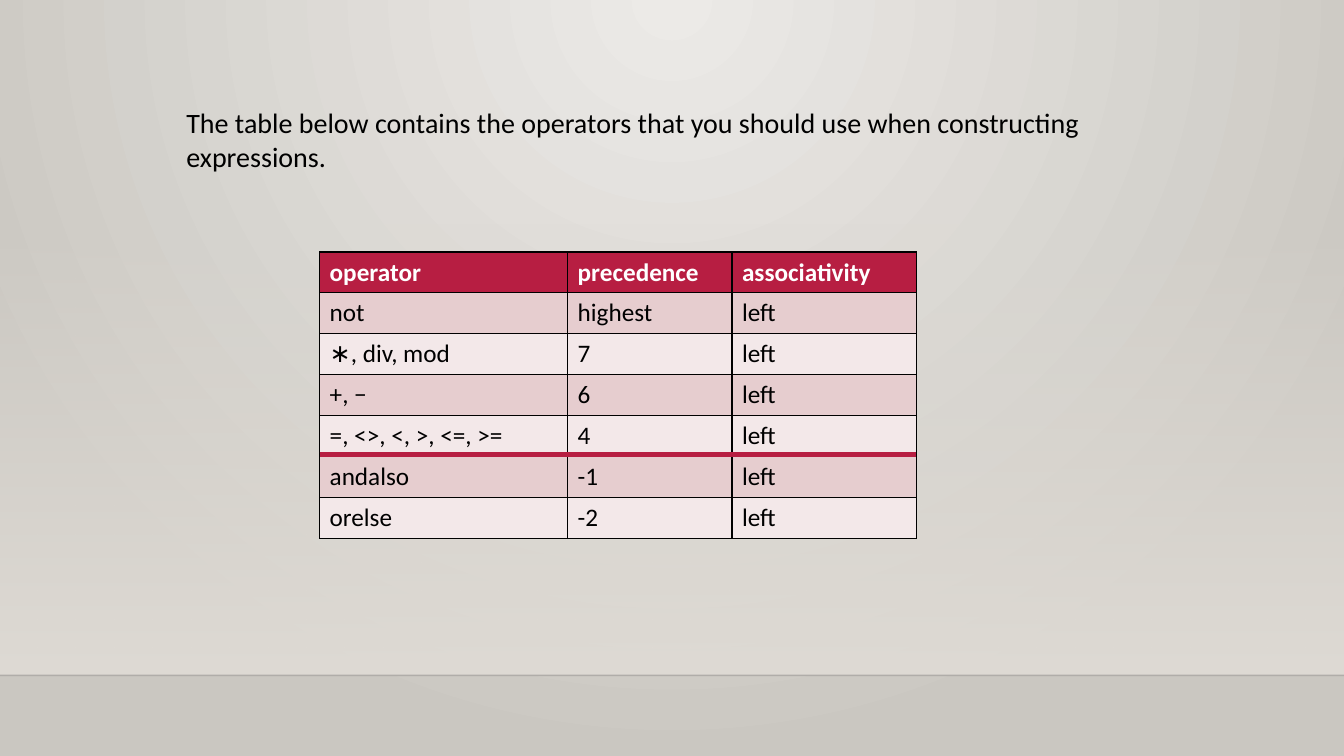
import pptx
import pptx.util
import pptx.dml.color
import pptx.enum.shapes
import pptx.enum.text
import pptx.oxml.ns
import lxml.etree

Inches = pptx.util.Inches
Pt = pptx.util.Pt
qn = pptx.oxml.ns.qn
SubElement = lxml.etree.SubElement


def color(value):
    return pptx.dml.color.RGBColor.from_string(value)


def add_rule(left, right, top, value, width):
    rule = page.shapes.add_connector(
        pptx.enum.shapes.MSO_CONNECTOR.STRAIGHT, Inches(left), Inches(top), Inches(right), Inches(top))
    rule.line.color.rgb = color(value)
    rule.line.width = Pt(width)
    SubElement(rule._element.spPr, qn("a:effectLst"))
    return rule


deck = pptx.Presentation()
slide_width, slide_height = 13.33, 7.5
deck.slide_width = Inches(slide_width)
deck.slide_height = Inches(slide_height)
page = deck.slides.add_slide(deck.slide_layouts[6])

backdrop = page.background.fill
backdrop.gradient()
for stop, value in zip(backdrop.gradient_stops, ("ECEAE7", "CAC7C1")):
    stop.color.rgb = color(value)
gradient = page._element.find(".//" + qn("a:gradFill"))
gradient.remove(gradient.find(qn("a:lin")))
circle = SubElement(gradient, qn("a:path"), {"path": "circle"})
SubElement(circle, qn("a:fillToRect"), {"l": "43000", "t": "0", "r": "43000", "b": "100000"})

floor_top = 6.7
wall_top = 2.21
wall = page.shapes.add_shape(
    pptx.enum.shapes.MSO_SHAPE.RECTANGLE,
    0, Inches(wall_top), deck.slide_width, Inches(floor_top - wall_top))
wall.shadow.inherit = False
wall.line.fill.background()
wall.fill.gradient()
wall.fill.gradient_angle = 270
for stop in wall.fill.gradient_stops:
    stop.color.rgb = color("DFDBD5")
first_stop = wall._element.find(".//" + qn("a:srgbClr"))
SubElement(first_stop, qn("a:alpha"), {"val": "0"})

floor_edge = add_rule(0, slide_width, floor_top, "000001", 1)
edge_color = floor_edge._element.find(".//" + qn("a:srgbClr"))
SubElement(edge_color, qn("a:alpha"), {"val": "20000"})

operators = [
    ("operator", "precedence", "associativity"),
    ("not", "highest", "left"),
    ("∗, div, mod", "7", "left"),
    ("+, −", "6", "left"),
    ("=, <>, <, >, <=, >=", "4", "left"),
    ("andalso", "-1", "left"),
    ("orelse", "-2", "left"),
]
column_widths = (2.46, 1.63, 1.83)
table_left, table_top, table_height = 3.17, 2.5, 2.84
table_right = table_left + sum(column_widths)
table = page.shapes.add_table(
    len(operators), len(column_widths), Inches(table_left), Inches(table_top),
    Inches(table_right - table_left), Inches(table_height)).table
for column, width in zip(table.columns, column_widths):
    column.width = Inches(width)

for row_index, row in enumerate(operators):
    header = row_index == 0
    row_fill = "B71E42" if header else ("F3E8E9", "E6CDCF")[row_index % 2]
    for column_index, text in enumerate(row):
        cell = table.cell(row_index, column_index)
        cell.text_frame.text = text
        font = cell.text_frame.paragraphs[0].runs[0].font
        font.name = "Calibri"
        font.size = Pt(18)
        font.bold = header
        font.color.rgb = color("FFFFFF" if header else "000000")
        properties = cell._tc.get_or_add_tcPr()
        for side in ("a:lnL", "a:lnR", "a:lnT", "a:lnB"):
            border = SubElement(properties, qn(side), {"w": str(Pt(1))})
            border_fill = SubElement(border, qn("a:solidFill"))
            SubElement(border_fill, qn("a:srgbClr"), {"val": "000000"})
        cell.fill.solid()
        cell.fill.fore_color.rgb = color(row_fill)

add_rule(table_left, table_right, 4.51, "B71E42", 3)

intro = page.shapes.add_textbox(Inches(1.75), Inches(1), Inches(9.34), Inches(0.77))
intro.text_frame.word_wrap = True
intro.text_frame.auto_size = pptx.enum.text.MSO_AUTO_SIZE.SHAPE_TO_FIT_TEXT
intro.text_frame.text = (
    "The table below contains the operators that you should use when constructing expressions.")
span = intro.text_frame.paragraphs[0].runs[0]
span.font.name = "Calibri"
span.font.size = Pt(20)
span.font.color.rgb = color("000000")

deck.save("out.pptx")
